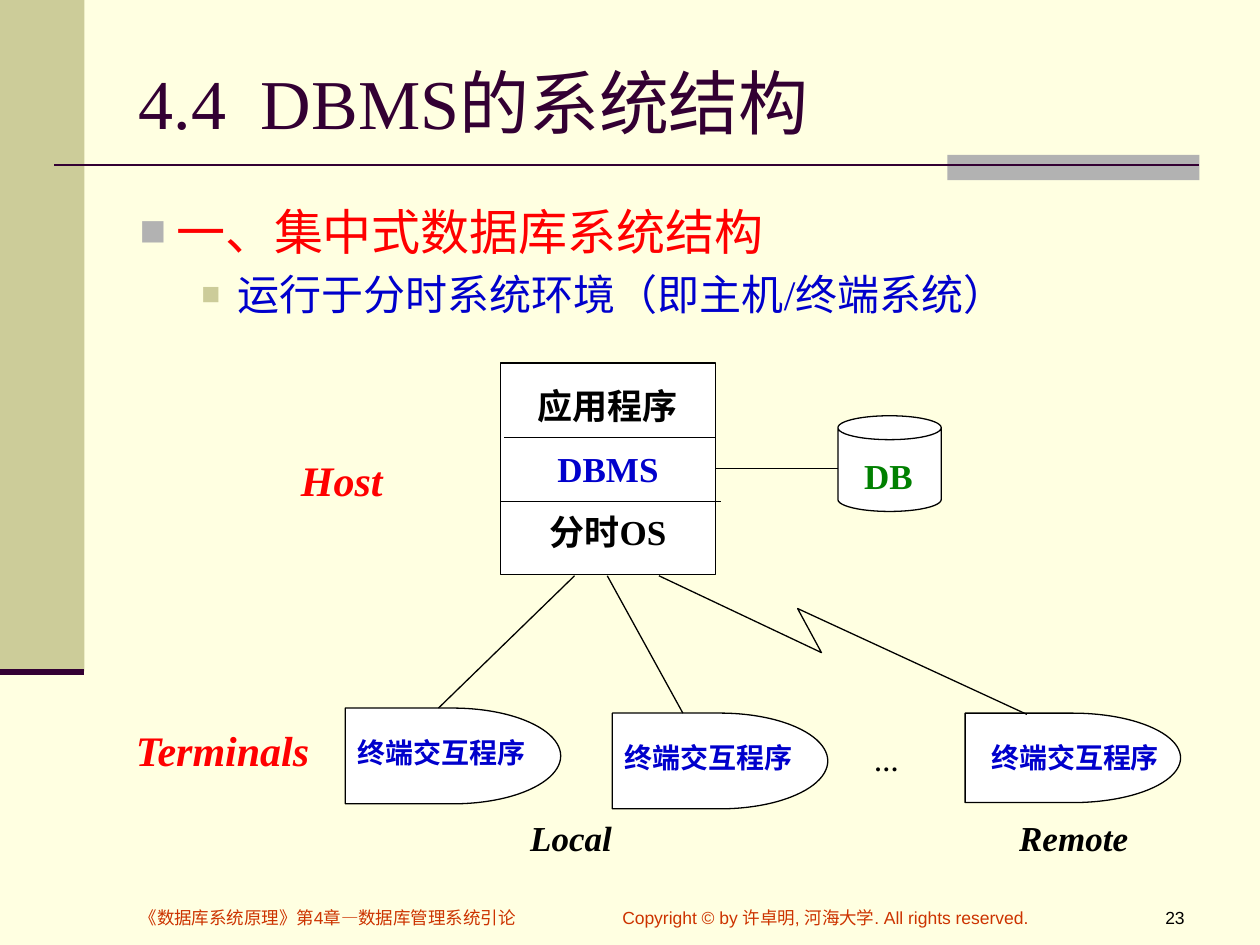
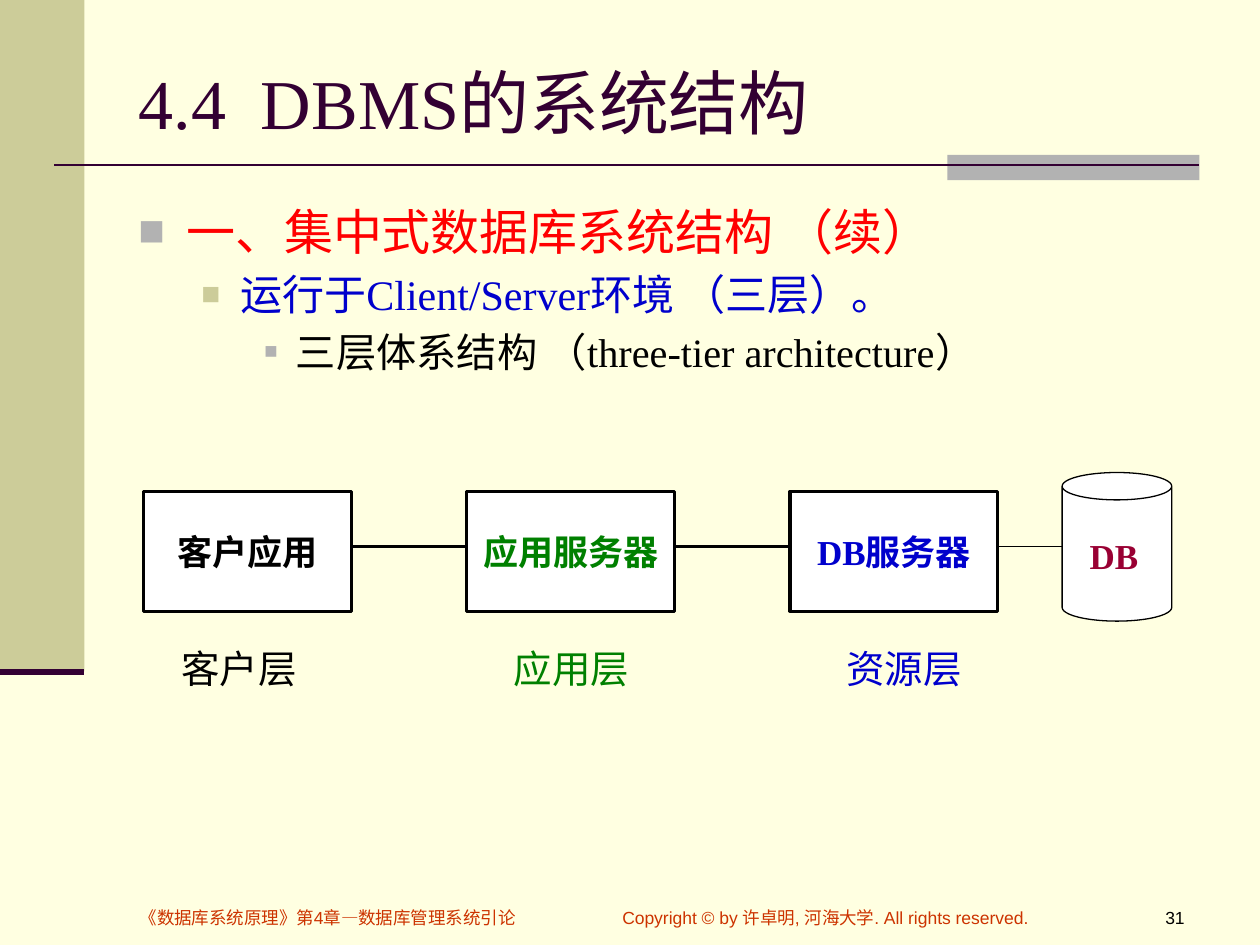
from lxml.etree import SubElement
from pptx import Presentation
from pptx.dml.color import RGBColor
from pptx.enum.shapes import MSO_CONNECTOR, MSO_SHAPE as Shape
from pptx.enum.text import MSO_ANCHOR as Anchor, MSO_AUTO_SIZE, PP_ALIGN as Align
from pptx.oxml.ns import qn
from pptx.util import Inches, Pt

SERIF, SANS = "Times New Roman", "Arial"
CREAM, KHAKI, GREY, PLUM = "FFFFE1", "CCCC99", "B2B2B2", "330033"
BLACK, WHITE, RED, BLUE = "000000", "FFFFFF", "FF0000", "0000CC"
GREEN, MAROON, RUST = "008000", "990033", "CC3300"

TITLE = "4.4  DBMS的系统结构"
CHAPTER = "《数据库系统原理》第4章—数据库管理系统引论"
COPYRIGHT = "Copyright © by 许卓明, 河海大学. All rights reserved."
# Colour, bullet colour and bullet size in percent for each outline level
LEVELS = [(RED, GREY, 90), (BLUE, KHAKI, 75), (BLACK, GREY, 55)]


def rgb(hex_colour):
    return RGBColor.from_string(hex_colour)


def inches(*lengths):
    return [Inches(length) for length in lengths]


def style(paragraph, size, colour, bold=False, italic=False, face=SERIF):
    font = paragraph.font
    font.name, font.size, font.bold, font.italic = face, Pt(size), bold, italic
    font.color.rgb = rgb(colour)


def add_label(slide, box, text, size, colour, align=Align.LEFT, **font):
    frame = slide.shapes.add_textbox(*inches(*box)).text_frame
    frame.word_wrap = True
    paragraph = frame.paragraphs[0]
    paragraph.text = text
    paragraph.alignment = align
    style(paragraph, size, colour, **font)


def add_figure(slide, kind, box, fill=WHITE, line_width=0.75):
    """Add a flat preset shape; a line width of 0 means no outline."""
    figure = slide.shapes.add_shape(kind, *inches(*box))
    figure.shadow.inherit = False
    figure.fill.solid()
    figure.fill.fore_color.rgb = rgb(fill)
    if line_width:
        figure.line.color.rgb = rgb(BLACK)
        figure.line.width = Pt(line_width)
    else:
        figure.line.fill.background()
    return figure


def add_box(slide, box, lines, line_width=0.75, side_inset=0.1):
    """Add a rectangle with centred bold lines, each a (text, colour) pair."""
    frame = add_figure(slide, Shape.RECTANGLE, box, line_width=line_width).text_frame
    frame.word_wrap = True
    frame.vertical_anchor = Anchor.MIDDLE
    frame.margin_left = frame.margin_right = Inches(side_inset)
    frame.margin_top = frame.margin_bottom = 0
    for index, (text, colour) in enumerate(lines):
        paragraph = frame.add_paragraph() if index else frame.paragraphs[0]
        paragraph.text = text
        paragraph.alignment = Align.CENTER
        if index:
            paragraph.space_before = Pt(12)
        style(paragraph, 20, colour, bold=True)


def add_line(slide, start, end, width=0.75, colour=BLACK):
    line = slide.shapes.add_connector(MSO_CONNECTOR.STRAIGHT, *inches(*start, *end))
    line.line.color.rgb = rgb(colour)
    line.line.width = Pt(width)
    SubElement(line._element.spPr, qn("a:effectLst"))


def add_database(slide, box, label_box, colour):
    add_figure(slide, Shape.CAN, box)
    add_label(slide, label_box, "DB", 20, colour, bold=True)


def add_terminal(slide, left, top, height=0.76, indent=0):
    add_figure(slide, Shape.FLOWCHART_DELAY, (left, top, 1.71, height))
    add_label(slide, (left + indent, top + 0.17, 1.75, 0.59), "终端交互程序",
              16, BLUE, bold=True)


def add_zigzag(slide, points):
    start, *rest = [inches(*point) for point in points]
    builder = slide.shapes.build_freeform(*start)
    builder.add_line_segments(rest, close=False)
    link = builder.convert_to_shape()
    link.shadow.inherit = False
    link.fill.background()
    link.line.color.rgb = rgb(BLACK)
    link.line.width = Pt(0.75)


def add_bullet(paragraph, colour, percent, margin, hanging):
    props = paragraph._p.get_or_add_pPr()
    props.set("marL", str(Inches(margin)))
    props.set("indent", str(-Inches(hanging)))
    bullet_colour = SubElement(props, qn("a:buClr"))
    SubElement(bullet_colour, qn("a:srgbClr"), val=colour)
    SubElement(props, qn("a:buSzPct"), val=str(percent * 1000))
    SubElement(props, qn("a:buFont"), typeface=SERIF)
    SubElement(props, qn("a:buChar"), char="■")


def add_outline(slide, box, items):
    """Add one bullet per level; items are (text, size, margin, hanging)."""
    frame = slide.shapes.add_textbox(*inches(*box)).text_frame
    frame.word_wrap = True
    for level, (text, size, margin, hanging) in enumerate(items):
        colour, bullet_colour, percent = LEVELS[level]
        paragraph = frame.add_paragraph() if level else frame.paragraphs[0]
        paragraph.text = text
        paragraph.level = level
        add_bullet(paragraph, bullet_colour, percent, margin, hanging)
        if level:
            paragraph.space_before = Pt(round(size * 0.2, 1))
        style(paragraph, size, colour)


def add_base_slide(deck, number):
    """Add a slide with the shared bands, title and footer."""
    slide = deck.slides.add_slide(deck.slide_layouts[5])
    slide.background.fill.solid()
    slide.background.fill.fore_color.rgb = rgb(CREAM)

    add_figure(slide, Shape.RECTANGLE, (0, 0, 0.67, 5.33), KHAKI, 0)
    add_figure(slide, Shape.RECTANGLE, (7.52, 1.23, 2, 0.2), GREY, 0)
    add_line(slide, (0.43, 1.31), (9.52, 1.31), 1.5, PLUM)
    add_line(slide, (0, 5.33), (0.67, 5.33), 3.5, PLUM)

    title = slide.shapes.title
    title.left, title.top, title.width, title.height = inches(1, 0.3, 8.5, 1.01)
    frame = title.text_frame
    frame.text = TITLE
    frame.auto_size = MSO_AUTO_SIZE.NONE
    frame.vertical_anchor = Anchor.MIDDLE
    frame.paragraphs[0].alignment = Align.LEFT
    style(frame.paragraphs[0], 40, PLUM)

    add_label(slide, (1.01, 7.15, 3.68, 0.27), CHAPTER, 10, RUST, face=SANS)
    add_label(slide, (4.84, 7.15, 3.78, 0.27), COPYRIGHT, 10, RUST, face=SANS)
    add_label(slide, (8.78, 7.15, 0.72, 0.27), str(number), 10, BLACK,
              Align.RIGHT, face=SANS)
    return slide


def add_host_slide(deck):
    slide = add_base_slide(deck, 23)
    add_outline(slide, (1.01, 1.55, 8.49, 1.2), [
        ("一、集中式数据库系统结构", 28, 0.29, 0.29),
        ("运行于分时系统环境（即主机/终端系统）", 24, 0.78, 0.29),
    ])

    add_box(slide, (3.97, 2.88, 1.71, 1.68),
            [("应用程序", BLACK), ("DBMS", BLUE), ("分时OS", BLACK)], side_inset=0.02)
    add_line(slide, (4, 3.47), (5.68, 3.47))
    add_line(slide, (3.97, 3.98), (5.72, 3.98))
    add_database(slide, (6.65, 3.3, 0.82, 0.76), (6.76, 3.56, 0.78, 0.42), GREEN)
    add_line(slide, (5.68, 3.72), (6.65, 3.72))

    add_terminal(slide, 2.74, 5.62)
    add_terminal(slide, 4.86, 5.66)
    add_terminal(slide, 7.66, 5.66, height=0.71, indent=0.11)
    add_label(slide, (6.84, 5.88, 0.97, 0.54), "…", 14, BLACK, bold=True)
    add_line(slide, (4.56, 4.57), (3.48, 5.62))
    add_line(slide, (4.82, 4.57), (5.42, 5.66))
    add_zigzag(slide, [(5.23, 4.57), (6.52, 5.18), (6.33, 4.83), (8.15, 5.67)])

    for text, left, top, size, colour in [
        ("Host", 2.29, 3.56, 24, RED),
        ("Terminals", 0.98, 5.7, 24, RED),
        ("Local", 4.11, 6.43, 20, BLACK),
        ("Remote", 7.99, 6.43, 20, BLACK),
    ]:
        add_label(slide, (left, top, 1.6, 0.5), text, size, colour,
                  bold=True, italic=True)


def add_three_tier_slide(deck):
    slide = add_base_slide(deck, 31)
    add_outline(slide, (1, 1.55, 8.5, 1.65), [
        ("一、集中式数据库系统结构 （续）", 28, 0.38, 0.38),
        ("运行于Client/Server环境 （三层）。", 24, 0.81, 0.31),
        ("三层体系结构 （three-tier architecture）", 23, 1.25, 0.25),
    ])

    tiers = [("客户应用", "客户层", BLACK), ("应用服务器", "应用层", GREEN),
             ("DB服务器", "资源层", BLUE)]
    box_width, box_step, link_y = 1.65, 2.565, 4.34
    database_left = 8.43
    for index, (program, layer, colour) in enumerate(tiers):
        left = 1.14 + index * box_step
        right = left + box_width
        add_box(slide, (left, 3.9, box_width, 0.95), [(program, colour)], 1.75)
        add_label(slide, (1.34 + index * 2.64, 5.07, 1.14, 0.73), layer, 22, colour)
        if index < len(tiers) - 1:
            add_line(slide, (right, link_y), (left + box_step, link_y), 1.5)
        else:
            add_line(slide, (right, link_y), (database_left, link_y))
    add_database(slide, (database_left, 3.75, 0.87, 1.18),
                 (8.55, 4.19, 0.83, 0.73), MAROON)


def main():
    deck = Presentation()
    deck.slide_width, deck.slide_height = inches(10, 7.5)
    add_host_slide(deck)
    add_three_tier_slide(deck)
    deck.save("out.pptx")


if __name__ == "__main__":
    main()
